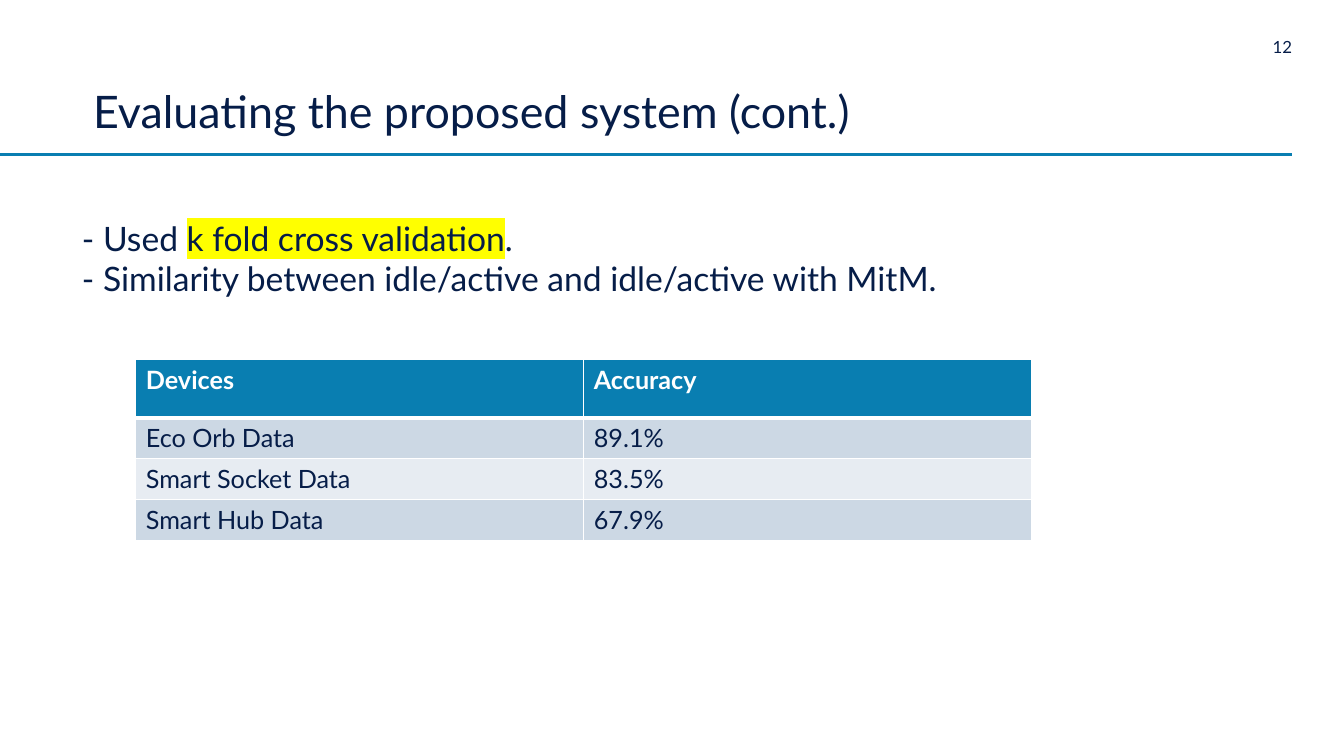
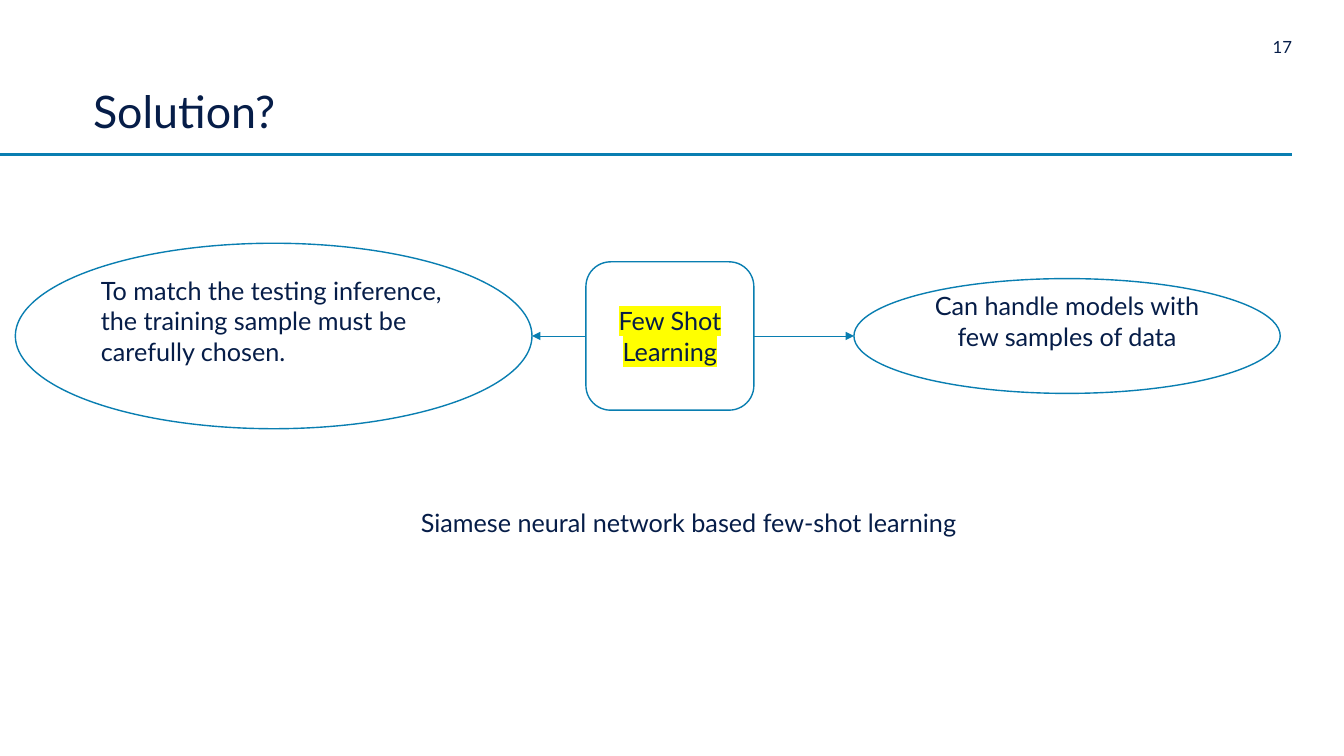
"""Build two slides on evaluating a system and few-shot learning."""
from dataclasses import dataclass

from lxml import etree
from pptx import Presentation
from pptx.dml.color import RGBColor
from pptx.enum import shapes, text
from pptx.oxml import ns
from pptx.util import Pt


@dataclass(frozen=True)
class Theme:
    font: str = "Lato"
    ink: str = "061D48"
    accent: str = "097EB1"
    white: str = "FFFFFF"
    highlight: str = "FFFF00"
    bands: tuple = ("CCD8E4", "E7ECF2")
    title_size: int = 32
    lead_size: int = 24
    body_size: int = 18
    number_size: int = 12


THEME = Theme()
INSETS = (7.2, 3.6, 7.2, 3.6)
NO_INSETS = (0, 0, 0, 0)
LEFT, CENTER, RIGHT = text.PP_ALIGN.LEFT, text.PP_ALIGN.CENTER, text.PP_ALIGN.RIGHT
BOX_LEFT_SIDE, BOX_RIGHT_SIDE = 1, 3


def color(value):
    """Return an RGB colour from a hex string."""
    return RGBColor.from_string(value)


def add_solid_fill(parent, value):
    """Append a solid fill in the given colour to an XML element."""
    fill = etree.SubElement(parent, ns.qn("a:solidFill"))
    etree.SubElement(fill, ns.qn("a:srgbClr"), val=value)


def add_run(paragraph, words, size, ink=THEME.ink, bold=False, marked=False):
    """Add one run of styled text, highlighted when marked."""
    run = paragraph.add_run()
    run.text = words
    run.font.size = Pt(size)
    run.font.bold = bold
    run.font.color.rgb = color(ink)
    if marked:
        highlight = etree.SubElement(run.font._element, ns.qn("a:highlight"))
        etree.SubElement(highlight, ns.qn("a:srgbClr"), val=THEME.highlight)
    run.font.name = THEME.font


def set_frame(frame, insets, anchor):
    """Set wrapping, insets and anchor of a text frame."""
    frame.word_wrap = True
    frame.vertical_anchor = anchor
    frame.margin_left, frame.margin_top, frame.margin_right, frame.margin_bottom = map(Pt, insets)


def add_text(slide, bounds, paragraphs, size, align=LEFT, insets=INSETS,
             anchor=text.MSO_ANCHOR.TOP, spacing=None):
    """Add a text box from paragraphs given as lists of (words, marked) runs."""
    frame = slide.shapes.add_textbox(*map(Pt, bounds)).text_frame
    set_frame(frame, insets, anchor)
    for index, runs in enumerate(paragraphs):
        paragraph = frame.add_paragraph() if index else frame.paragraphs[0]
        paragraph.alignment = align
        paragraph.line_spacing = spacing
        for words, marked in runs:
            add_run(paragraph, words, size, marked=marked)


def add_line(slide, start, end, width, arrow=False):
    """Add a straight accent line, with an arrowhead at its end if asked."""
    line = slide.shapes.add_connector(shapes.MSO_CONNECTOR.STRAIGHT, *map(Pt, start + end))
    line.line.color.rgb = color(THEME.accent)
    line.line.width = Pt(width)
    if arrow:
        etree.SubElement(line.line._get_or_add_ln(), ns.qn("a:tailEnd"), type="triangle")
    etree.SubElement(line._element.spPr, ns.qn("a:effectLst"))
    return line


def add_node(slide, kind, bounds, words, align=CENTER, lift=0, marked=False):
    """Add an outlined shape whose text is raised by extra bottom inset."""
    shape = slide.shapes.add_shape(kind, *map(Pt, bounds))
    shape.shadow.inherit = False
    shape.fill.solid()
    shape.fill.fore_color.rgb = color(THEME.white)
    shape.line.color.rgb = color(THEME.accent)
    shape.line.width = Pt(1)
    left, top, right, bottom = INSETS
    set_frame(shape.text_frame, (left, top, right, bottom + lift), text.MSO_ANCHOR.MIDDLE)
    paragraph = shape.text_frame.paragraphs[0]
    paragraph.alignment = align
    add_run(paragraph, words, THEME.body_size, marked=marked)
    return shape


def style_cell(cell, fill, top, bottom):
    """Fill a cell and draw its white borders."""
    properties = cell._tc.get_or_add_tcPr()
    for side, width in (("L", 1), ("R", 1), ("T", top), ("B", bottom)):
        border = etree.SubElement(properties, ns.qn(f"a:ln{side}"), w=str(Pt(width)))
        add_solid_fill(border, THEME.white)
    cell.fill.solid()
    cell.fill.fore_color.rgb = color(fill)


def add_table(slide, bounds, rows, header_height, row_height):
    """Add a table with an accent header and banded rows."""
    table = slide.shapes.add_table(len(rows), len(rows[0]), *map(Pt, bounds)).table
    for row_index, values in enumerate(rows):
        header = row_index == 0
        table.rows[row_index].height = Pt(header_height if header else row_height)
        fill = THEME.accent if header else THEME.bands[(row_index - 1) % 2]
        for column_index, value in enumerate(values):
            cell = table.cell(row_index, column_index)
            style_cell(cell, fill, 3 if row_index == 1 else 1, 3 if header else 1)
            add_run(cell.text_frame.paragraphs[0], value, THEME.body_size,
                    THEME.white if header else THEME.ink, bold=header)


def add_slide(presentation, title, number):
    """Add a blank slide with the shared rule, number and title."""
    slide = presentation.slides.add_slide(presentation.slide_layouts[6])
    add_line(slide, (0, 110.5), (923, 110.5), 2.25)
    add_text(slide, (894, 26, 29, 14.5), [[(number, False)]], THEME.number_size,
             align=RIGHT, insets=NO_INSETS)
    add_text(slide, (66.5, 24.5, 813, 74), [[(title, False)]], THEME.title_size,
             insets=NO_INSETS, anchor=text.MSO_ANCHOR.BOTTOM, spacing=0.9)
    return slide


def build_evaluation(presentation):
    """Build the slide with the accuracy of each device."""
    slide = add_slide(presentation, "Evaluating the proposed system (cont.)", "12")
    add_table(slide, (97, 256.5, 640, 129.6), [
        ("Devices", "Accuracy"),
        ("Eco Orb Data", "89.1%"),
        ("Smart Socket Data", "83.5%"),
        ("Smart Hub Data", "67.9%"),
    ], 42, 29.2)
    add_text(slide, (51.5, 152, 775, 65.5), [
        [("- Used ", False), ("k fold cross validation", True), (".", False)],
        [("- Similarity between idle/active and idle/active with MitM.", False)],
    ], THEME.lead_size)


def build_solution(presentation):
    """Build the slide that links few-shot learning to its two traits."""
    slide = add_slide(presentation, "Solution?", "17")
    middle, line_height = 240, 21.6
    oval = shapes.MSO_SHAPE.OVAL

    def centered(left, width, height):
        """Return bounds centred on the row of shapes."""
        return left, middle - height / 2, width, height

    box = add_node(slide, shapes.MSO_SHAPE.ROUNDED_RECTANGLE, centered(418.5, 120, 106),
                   "Few Shot Learning", marked=True)
    add_node(slide, oval, centered(610, 304.5, 82),
             "Can handle models with few samples of data", lift=line_height)
    add_node(slide, oval, centered(11, 369, 132.5),
             "To match the testing inference, the training sample must be carefully chosen.",
             align=LEFT, lift=line_height)
    for side, start, end in ((BOX_RIGHT_SIDE, 538.5, 610), (BOX_LEFT_SIDE, 418.5, 380)):
        arrow = add_line(slide, (start, middle), (end, middle), 0.5, arrow=True)
        arrow.begin_connect(box, side)
    add_text(slide, (293.5, 358.5, 534, 29),
             [[("Siamese neural network based few-shot learning", False)]], THEME.body_size)


def main():
    """Build and save the presentation."""
    presentation = Presentation()
    presentation.slide_width, presentation.slide_height = Pt(960), Pt(540)
    build_evaluation(presentation)
    build_solution(presentation)
    presentation.save("out.pptx")


if __name__ == "__main__":
    main()
